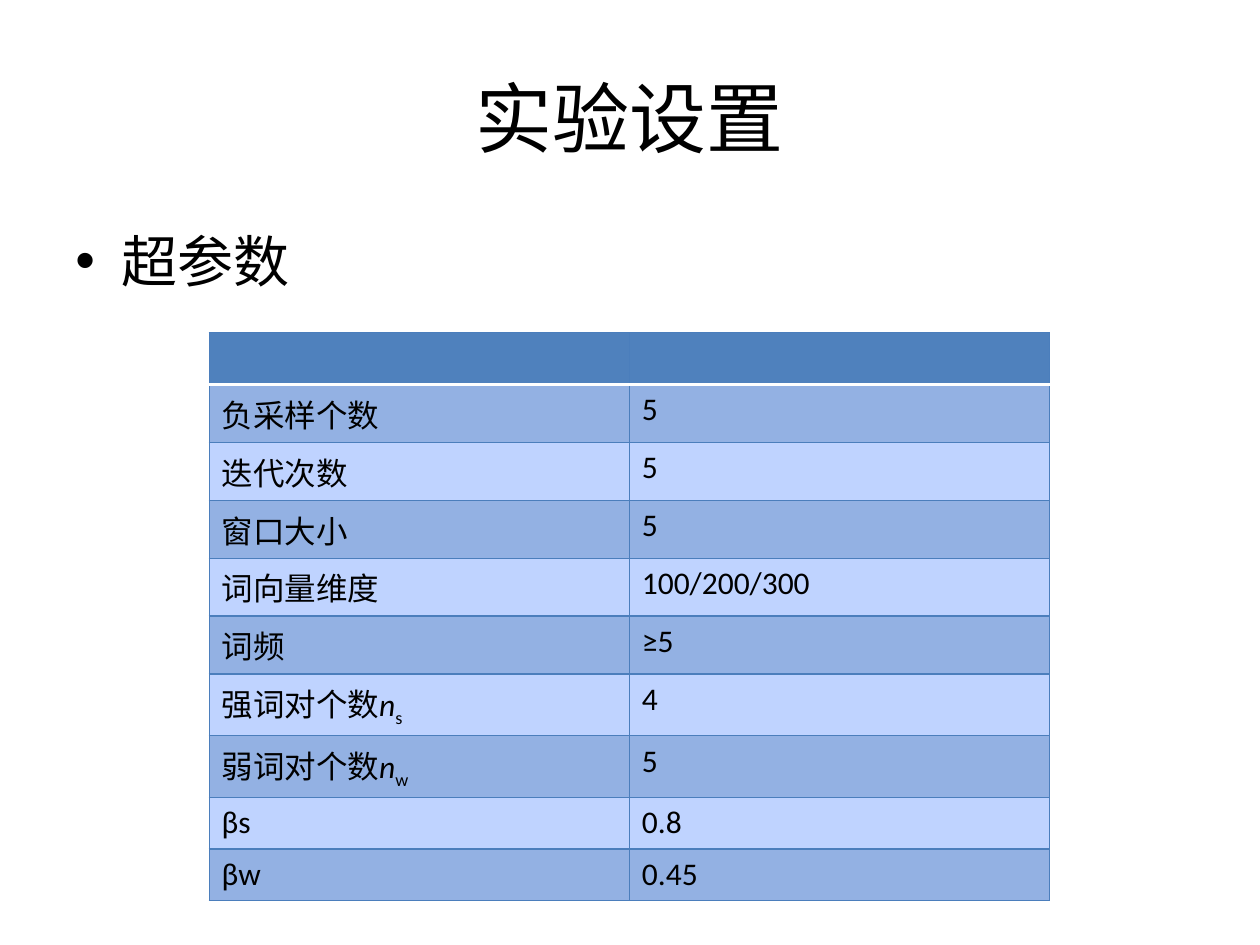
from dataclasses import dataclass

from lxml import etree
from pptx import Presentation
from pptx.dml.color import RGBColor
from pptx.enum.text import MSO_ANCHOR, PP_ALIGN
from pptx.oxml.ns import qn
from pptx.util import Inches, Pt

CENTER = PP_ALIGN.CENTER
MIDDLE = MSO_ANCHOR.MIDDLE


@dataclass(frozen=True)
class Theme:
    font: str = "Calibri"
    text: str = "000000"
    header: str = "4F81BD"
    bands: tuple[str, str] = ("93B1E3", "BFD3FF")
    border: str = "4B7EBC"
    header_rule: str = "FFFFFF"
    title_size: float = 44
    body_size: float = 32
    table_size: float = 18
    border_width: float = 0.75
    rule_width: float = 2
    latin_row: float = 0.41
    chinese_row: float = 0.46
    symbol_row: float = 0.49


@dataclass(frozen=True)
class Parameter:
    name: str
    value: str
    height: float = 0.46
    symbol: str = ""
    subscript: str = ""


THEME = Theme()
PARAMETERS = (
    Parameter("负采样个数", "5", THEME.chinese_row),
    Parameter("迭代次数", "5", THEME.chinese_row),
    Parameter("窗口大小", "5", THEME.chinese_row),
    Parameter("词向量维度", "100/200/300", THEME.chinese_row),
    Parameter("词频", "≥5", THEME.chinese_row),
    Parameter("强词对个数", "4", THEME.symbol_row, "n", "s"),
    Parameter("弱词对个数", "5", THEME.symbol_row, "n", "w"),
    Parameter("βs", "0.8", THEME.latin_row),
    Parameter("βw", "0.45", THEME.latin_row),
)


def format_paragraph(paragraph, size: float) -> None:
    paragraph.font.size = Pt(size)
    for run in paragraph.runs:
        run.font.name = THEME.font
        run.font.size = Pt(size)
        run.font.color.rgb = RGBColor.from_string(THEME.text)


def add_bullet(paragraph) -> None:
    properties = paragraph._p.get_or_add_pPr()
    properties.set("marL", str(Inches(0.37)))
    properties.set("indent", str(-Inches(0.37)))
    etree.SubElement(properties, qn("a:buFont"), typeface="Arial")
    etree.SubElement(properties, qn("a:buChar"), char="•")


def add_text(slide, text: str, top: float, height: float, size: float, bullet: bool = False):
    shape = slide.shapes.add_textbox(Inches(0.5), Inches(top), Inches(9), Inches(height))
    shape.text_frame.word_wrap = True
    shape.text_frame.text = text
    paragraph = shape.text_frame.paragraphs[0]
    if bullet:
        add_bullet(paragraph)
    format_paragraph(paragraph, size)
    return shape.text_frame


def style_cell(cell, fill: str, rule_side: str = "") -> None:
    properties = cell._tc.get_or_add_tcPr()
    for side in "LRTB":
        is_rule = side == rule_side
        width = THEME.rule_width if is_rule else THEME.border_width
        color = THEME.header_rule if is_rule else THEME.border
        line = etree.SubElement(properties, qn(f"a:ln{side}"), w=str(Pt(width)))
        solid = etree.SubElement(line, qn("a:solidFill"))
        etree.SubElement(solid, qn("a:srgbClr"), val=color)
    cell.fill.solid()
    cell.fill.fore_color.rgb = RGBColor.from_string(fill)
    format_paragraph(cell.text_frame.paragraphs[0], THEME.table_size)


def fill_name(cell, parameter: Parameter) -> None:
    cell.text_frame.text = parameter.name
    if parameter.symbol:
        paragraph = cell.text_frame.paragraphs[0]
        symbol = paragraph.add_run()
        symbol.text = parameter.symbol
        symbol.font.italic = True
        subscript = paragraph.add_run()
        subscript.text = parameter.subscript
        subscript.font._element.set("baseline", "-25000")


def add_parameter_table(slide, parameters: tuple[Parameter, ...]) -> None:
    heights = [THEME.latin_row] + [parameter.height for parameter in parameters]
    table = slide.shapes.add_table(
        len(heights), 2, Inches(1.66), Inches(2.64), Inches(6.67), Inches(sum(heights))
    ).table
    for row, height in zip(table.rows, heights):
        row.height = Inches(height)
    for cell in table.rows[0].cells:
        style_cell(cell, THEME.header, "B")
    for index, parameter in enumerate(parameters):
        name_cell, value_cell = table.rows[index + 1].cells
        fill_name(name_cell, parameter)
        value_cell.text_frame.text = parameter.value
        for cell in (name_cell, value_cell):
            style_cell(cell, THEME.bands[index % 2], "T" if index == 0 else "")


def main() -> None:
    """Build the experiment settings slide."""
    presentation = Presentation()
    presentation.slide_width = Inches(10)
    presentation.slide_height = Inches(7.5)
    slide = presentation.slides.add_slide(presentation.slide_layouts[6])
    title = add_text(slide, "实验设置", 0.3, 1.25, THEME.title_size)
    title.vertical_anchor = MIDDLE
    title.paragraphs[0].alignment = CENTER
    add_text(slide, "超参数", 1.75, 4.95, THEME.body_size, bullet=True)
    add_parameter_table(slide, PARAMETERS)
    presentation.save("out.pptx")


if __name__ == "__main__":
    main()
